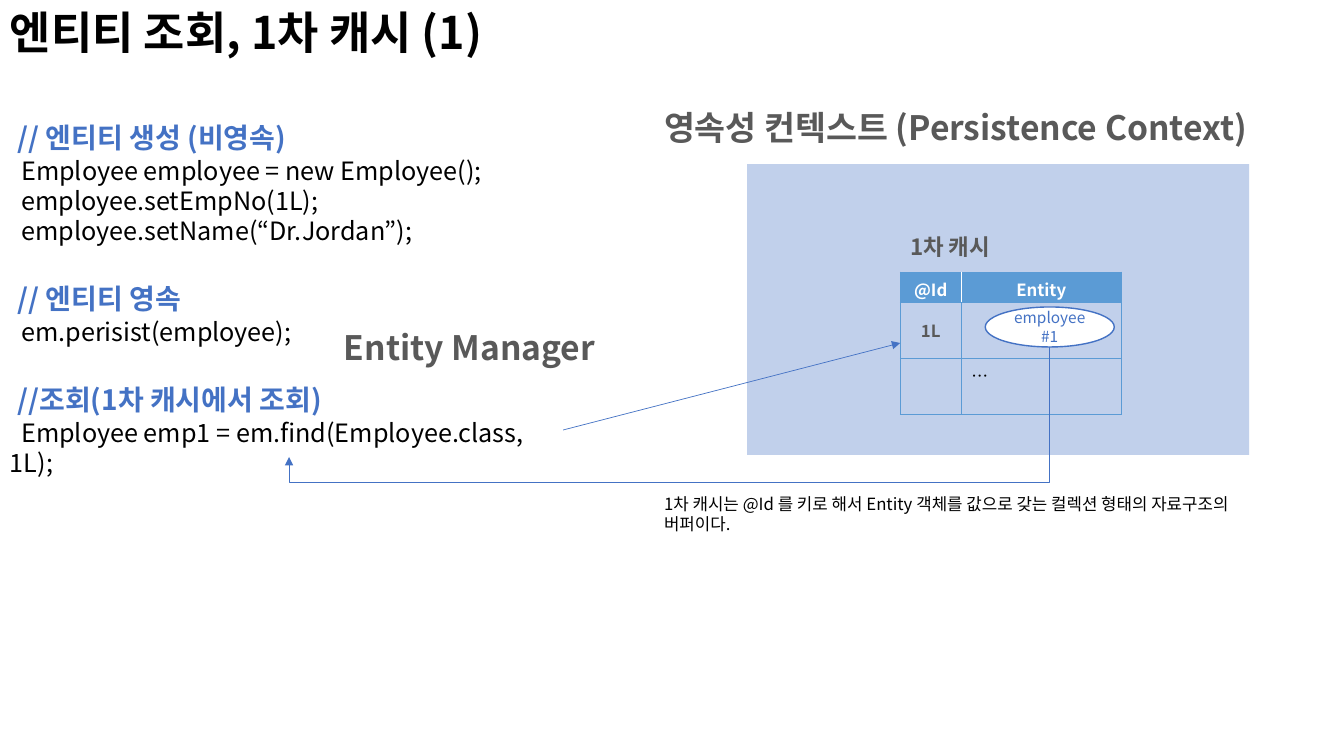
from lxml import etree
from pptx import Presentation
from pptx.dml.color import RGBColor
from pptx.enum.shapes import MSO_CONNECTOR, MSO_SHAPE
from pptx.enum.text import MSO_ANCHOR, PP_ALIGN
from pptx.oxml.ns import qn
from pptx.util import Inches, Pt

STRAIGHT, ELBOW = MSO_CONNECTOR.STRAIGHT, MSO_CONNECTOR.ELBOW
RECTANGLE, OVAL = MSO_SHAPE.RECTANGLE, MSO_SHAPE.OVAL
CENTER, MIDDLE, TOP = PP_ALIGN.CENTER, MSO_ANCHOR.MIDDLE, MSO_ANCHOR.TOP
COLORS = {"black": "000000", "white": "FFFFFF", "gray": "595959",
          "blue": "4472C4", "table": "5B9BD5"}
FONT = "Noto Sans CJK KR"
PX = 914400 / 100.8


def px(*lengths):
    return [round(length * PX) for length in lengths]


def rgb(color):
    return RGBColor.from_string(COLORS[color])


def add(parent, tag, **attributes):
    return etree.SubElement(parent, qn(tag), attributes)


class SlideBuilder:
    def __init__(self, slide):
        self.shapes = slide.shapes

    def style(self, font, size, color, bold=False):
        font.name, font.size, font.bold = FONT, Pt(size), bold
        font.color.rgb = rgb(color)

    def fill_line(self, paragraph, words, size, color, bold=False):
        paragraph.text = words
        self.style(paragraph.font, size, color, bold)

    def text(self, box, lines, size, color, bold=False):
        frame = self.shapes.add_textbox(*px(*box)).text_frame
        frame.word_wrap = True
        for i, line in enumerate(lines):
            paragraph = frame.add_paragraph() if i else frame.paragraphs[0]
            self.fill_line(paragraph, line, size, color, bold)

    def code(self, box, blocks):
        """Each block is a bold heading followed by its code lines."""
        frame = self.shapes.add_textbox(*px(*box)).text_frame
        frame.word_wrap = True
        for i, (heading, lines) in enumerate(blocks):
            paragraph = frame.add_paragraph() if i else frame.paragraphs[0]
            if i:
                paragraph.space_before = Pt(21.5)
            for words, size in ((" ", 24), (heading, 20)):
                run = paragraph.add_run()
                run.text = words
                self.style(run.font, size, "blue", True)
            for line in lines:
                self.fill_line(frame.add_paragraph(), line, 18, "black")

    def shape(self, kind, box, fill, alpha=None, line=None, words=None):
        shape = self.shapes.add_shape(kind, *px(*box))
        shape.shadow.inherit = False
        shape.fill.solid()
        shape.fill.fore_color.rgb = rgb(fill)
        if alpha:
            color = shape._element.spPr.find(".//" + qn("a:srgbClr"))
            add(color, "a:alpha", val=str(alpha * 1000))
        if line:
            shape.line.color.rgb = rgb(line)
            shape.line.width = Pt(1)
        else:
            shape.line.fill.background()
        if words:
            frame = shape.text_frame
            frame.word_wrap, frame.vertical_anchor = True, MIDDLE
            self.fill_line(frame.paragraphs[0], words, 11, line)
            frame.paragraphs[0].alignment = CENTER

    def arrow(self, kind, start, end):
        arrow = self.shapes.add_connector(kind, *px(*start, *end))
        arrow.line.color.rgb = rgb("blue")
        arrow.line.width = Pt(0.5)
        properties = arrow._element.spPr
        add(properties.find(qn("a:ln")), "a:tailEnd", type="triangle")
        add(properties, "a:effectLst")
        return arrow

    def down_and_back_arrow(self, start, end, bend):
        """Leave downwards: an elbow turned by 90 degrees about its centre."""
        (x1, y1), (x2, y2) = start, end
        cx, cy = (x1 + x2) // 2, (y1 + y2) // 2
        half_w, half_h = (y2 - y1) // 2, (x1 - x2) // 2
        arrow = self.arrow(ELBOW, (cx - half_w, cy - half_h),
                           (cx + half_w, cy + half_h))
        properties = arrow._element.spPr
        properties.find(qn("a:xfrm")).set("rot", "5400000")
        geometry = properties.find(qn("a:prstGeom"))
        guides = geometry.find(qn("a:avLst"))
        if guides is None:
            guides = add(geometry, "a:avLst")
        add(guides, "a:gd", name="adj1", fmla=f"val {bend * 1000}")

    def border(self, cell, side, color, width):
        line = add(cell._tc.get_or_add_tcPr(), f"a:ln{side}", w=str(Pt(width)))
        add(add(line, "a:solidFill"), "a:srgbClr", val=COLORS[color])

    def table(self, left, top, widths, heights, rows):
        frame = self.shapes.add_table(
            len(rows), len(widths), *px(left, top, sum(widths), sum(heights)))
        table = frame.table
        table.first_row = table.horz_banding = False
        for column, width in zip(table.columns, px(*widths)):
            column.width = width
        for r, (row, height) in enumerate(zip(rows, px(*heights))):
            table.rows[r].height = height
            for c, (words, color, bold, centered) in enumerate(row):
                cell = table.cell(r, c)
                for side in "LRTB":
                    divider = side == "RL"[c]
                    self.border(cell, side,
                                "white" if divider and r == 0 else "table",
                                1 if divider else 0.5)
                if r == 0:
                    cell.fill.solid()
                    cell.fill.fore_color.rgb = rgb("table")
                else:
                    cell.fill.background()
                cell.vertical_anchor = MIDDLE if centered else TOP
                paragraph = cell.text_frame.paragraphs[0]
                self.fill_line(paragraph, words, 12, color, bold)
                if centered:
                    paragraph.alignment = CENTER


def main():
    deck = Presentation()
    deck.slide_width, deck.slide_height = Inches(13.33), Inches(7.5)
    page = SlideBuilder(deck.slides.add_slide(deck.slide_layouts[6]))

    # Title and code
    page.text((0, 0, 1344, 65), ["엔티티 조회, 1차 캐시 (1)"], 32, "black", True)
    page.code((0, 110, 579, 346), [
        ("// 엔티티 생성 (비영속)", ["  Employee employee = new Employee();",
                             "  employee.setEmpNo(1L);",
                             "  employee.setName(“Dr.Jordan”);"]),
        ("// 엔티티 영속", ["  em.perisist(employee);"]),
        ("//조회(1차 캐시에서 조회)",
         ["  Employee emp1 = em.find(Employee.class, 1L);"]),
    ])

    # Persistence context with its first-level cache
    page.shape(RECTANGLE, (747, 164, 502, 291), "blue", alpha=33)
    page.text((334, 322, 276, 50), ["Entity Manager"], 24, "gray", True)
    page.table(900, 272, (61, 160), (29, 56, 56), [
        [("@Id", "white", True, True), ("Entity", "white", True, True)],
        [("1L", "gray", True, True), ("", "black", False, False)],
        [("", "black", False, False), ("…", "black", False, False)],
    ])
    page.shape(OVAL, (985, 307, 129, 40), "white", line="blue",
               words="employee #1")
    page.text((900, 228, 215, 37), ["1차 캐시"], 16, "gray", True)

    # Lookup and the returned entity
    page.arrow(STRAIGHT, (563, 430), (900, 343))
    page.down_and_back_arrow((1049, 347), (289, 457), bend=123)

    # Captions
    page.text((654, 489, 651, 50), [
        "1차 캐시는 @Id 를 키로 해서 Entity 객체를 값으로 갖는 컬렉션 형태의 자료구조의",
        "버퍼이다."], 12, "black")
    page.text((654, 102, 662, 50), ["영속성 컨텍스트 (Persistence Context)"],
              24, "gray", True)

    deck.save("out.pptx")


if __name__ == "__main__":
    main()
